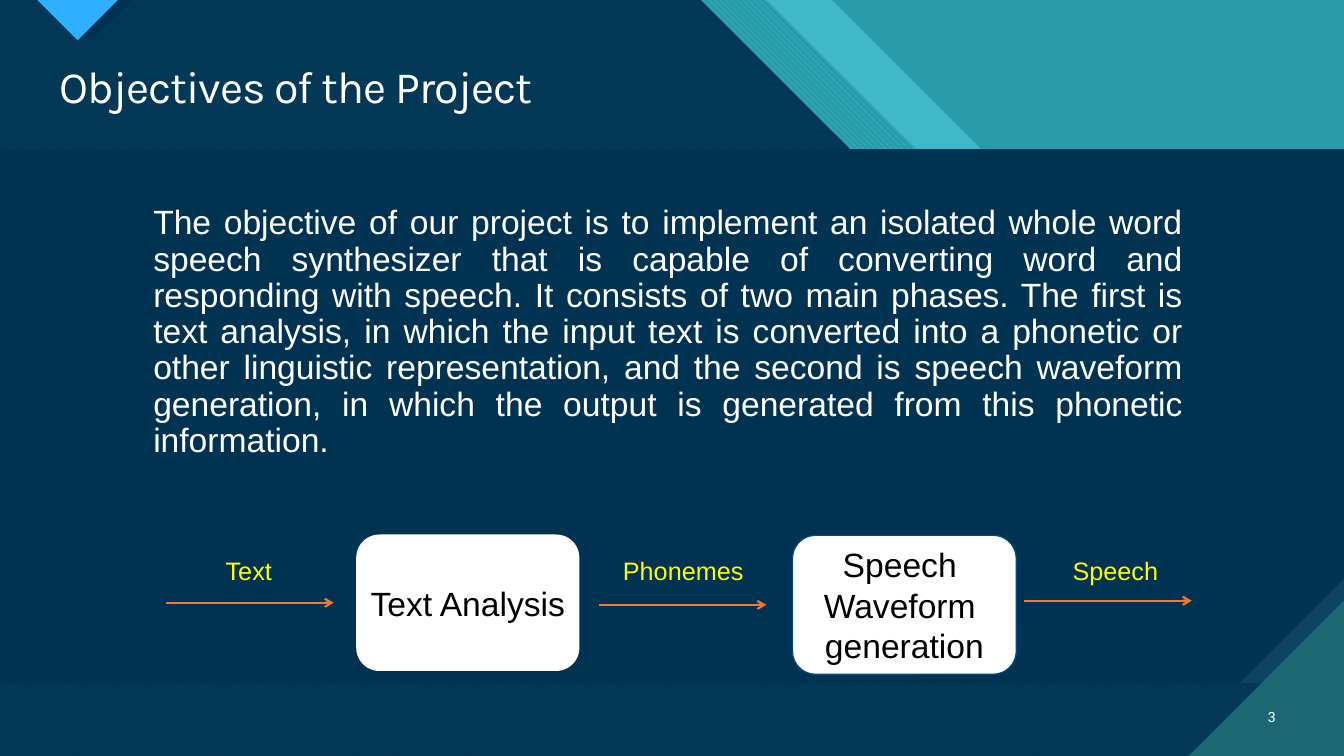
import pptx
import pptx.dml.color
import pptx.enum.dml
import pptx.enum.shapes
import pptx.enum.text
import pptx.oxml.ns
import pptx.oxml.xmlchemy
import pptx.util

Inches = pptx.util.Inches
RGBColor = pptx.dml.color.RGBColor
OxmlElement = pptx.oxml.xmlchemy.OxmlElement
ALIGN = pptx.enum.text.PP_ALIGN
ANCHOR = pptx.enum.text.MSO_ANCHOR
PATTERN = pptx.enum.dml.MSO_PATTERN

WHITE = RGBColor(0xFF, 0xFF, 0xFF)
BLACK = RGBColor(0x00, 0x00, 0x00)
YELLOW = RGBColor(0xFF, 0xFF, 0x00)
ORANGE = RGBColor(0xF4, 0x77, 0x35)
NAVY = RGBColor(0x00, 0x33, 0x52)
SLATE = RGBColor(0x0C, 0x43, 0x60)
BLUE = RGBColor(0x2F, 0xAF, 0xFF)
OUTLINE_BLUE = RGBColor(0x00, 0x4B, 0x79)
TEAL = RGBColor(0x29, 0x9C, 0xAB)
LIGHT_TEAL = RGBColor(0x47, 0xC3, 0xD3)
DARK_TEAL = RGBColor(0x1B, 0x68, 0x72)

WIDTH, HEIGHT = 13.33, 7.5


def write_text(shape, text, size, color, font="Arial", align=ALIGN.LEFT,
               anchor=ANCHOR.TOP, wrap=True, line_spacing=None, space_before=0):
    """Write one paragraph per line of text into the shape."""
    frame = shape.text_frame
    frame.text = text
    frame.word_wrap = wrap
    frame.vertical_anchor = anchor
    for paragraph in frame.paragraphs:
        paragraph.alignment = align
        paragraph.line_spacing = line_spacing
        paragraph.space_before = pptx.util.Pt(space_before)
        for run in paragraph.runs:
            run.font.name = font
            run.font.size = pptx.util.Pt(size)
            run.font.color.rgb = color


def place(shape, left, top, width, height):
    shape.left, shape.top = Inches(left), Inches(top)
    shape.width, shape.height = Inches(width), Inches(height)


presentation = pptx.Presentation()
presentation.slide_width = Inches(WIDTH)
presentation.slide_height = Inches(HEIGHT)
slide = presentation.slides.add_slide(presentation.slide_layouts[1])
slide.background.fill.solid()
slide.background.fill.fore_color.rgb = TEAL

# Background layers: outline, colour, pattern, pattern ground, opacity in percent
light_band = [(0, 0), (8.25, 0), (11.22, 2.97), (12.34, 2.97),
              (WIDTH, 3.96), (WIDTH, HEIGHT), (0, HEIGHT)]
hatched_band = [(0, 0), (7.6, 0), (10.58, 2.97), (11.84, 2.97),
                (WIDTH, 4.47), (WIDTH, HEIGHT), (0, HEIGHT)]
navy_field = [(0, 0), (6.95, 0), (9.92, 2.97), (11.18, 2.97),
              (WIDTH, 5.12), (WIDTH, HEIGHT), (0, HEIGHT)]
panel = [(0, 1.48), (WIDTH, 1.48), (WIDTH, 6.78), (0, 6.78)]
snipped_panel = [(0, 1.48), (WIDTH, 1.48), (WIDTH, 5.74), (12.29, 6.78), (0, 6.78)]
layers = [
    (light_band, LIGHT_TEAL, None, None, 74),
    (hatched_band, LIGHT_TEAL, PATTERN.WIDE_DOWNWARD_DIAGONAL, TEAL, 100),
    (navy_field, LIGHT_TEAL, PATTERN.WIDE_UPWARD_DIAGONAL, DARK_TEAL, 100),
    (navy_field, NAVY, None, None, 90),
    ([(0.48, 0), (1.31, 0), (0.9, 0.41)], NAVY, None, None, 100),
    ([(0.37, 0), (1.17, 0), (0.77, 0.4)], BLUE, None, None, 100),
    (panel, SLATE, None, None, 100),
    (snipped_panel, NAVY, None, None, 100),
    ([(11.79, HEIGHT), (WIDTH, HEIGHT), (WIDTH, 5.96)], DARK_TEAL, None, None, 100),
]
for points, color, pattern, ground, opacity in layers:
    corners = [(Inches(x), Inches(y)) for x, y in points]
    builder = slide.shapes.build_freeform(*corners[0])
    builder.add_line_segments(corners[1:], close=True)
    layer = builder.convert_to_shape()
    layer.shadow.inherit = False
    layer.line.fill.background()
    if pattern is None:
        layer.fill.solid()
    else:
        layer.fill.patterned()
        layer.fill.pattern = pattern
        layer.fill.back_color.rgb = ground
    layer.fill.fore_color.rgb = color
    if opacity < 100:
        color_element = layer.element.spPr.find(".//" + pptx.oxml.ns.qn("a:srgbClr"))
        alpha = OxmlElement("a:alpha")
        alpha.set("val", str(opacity * 1000))
        color_element.append(alpha)

# Title and objective, brought in front of the background
title, body = slide.shapes.title, slide.placeholders[1]
for placeholder in (title, body):
    placeholder.element.getparent().append(placeholder.element)
    placeholder.text_frame.auto_size = pptx.enum.text.MSO_AUTO_SIZE.NONE

place(title, 0.49, 0.59, 12.26, 0.74)
write_text(title, "Objectives of the Project", 32, WHITE, font="Karla", line_spacing=0.9)
title.text_frame.paragraphs[0].runs[0].font._element.set("spc", "-70")

place(body, 1.42, 1.74, 10.41, 3.12)
write_text(
    body,
    "The objective of our project is to implement an isolated whole word speech "
    "synthesizer that is capable of converting word and responding with speech. "
    "It consists of two main phases. The first is text analysis, in which the input "
    "text is converted into a phonetic or other linguistic representation, and the "
    "second is speech waveform generation, in which the output is generated from "
    "this phonetic information.",
    24, WHITE, align=ALIGN.JUSTIFY, anchor=ANCHOR.MIDDLE, line_spacing=0.9, space_before=10)
properties = body.text_frame.paragraphs[0]._p.get_or_add_pPr()
properties.set("marL", "0")
properties.set("indent", "0")
properties.append(OxmlElement("a:buNone"))

# Page number
page_number = slide.shapes.add_textbox(Inches(12.31), Inches(6.91), Inches(0.44), Inches(0.4))
write_text(page_number, "3", 10, WHITE, font="Roboto", align=ALIGN.RIGHT, anchor=ANCHOR.MIDDLE)

# Processing phases
phases = [
    ("Text Analysis", 3.54, 2.2, 1.34, WHITE),
    ("Speech \nWaveform \ngeneration", 7.86, 2.22, 1.38, OUTLINE_BLUE),
]
for text, left, width, height, outline in phases:
    phase = slide.shapes.add_shape(pptx.enum.shapes.MSO_SHAPE.ROUNDED_RECTANGLE,
                                   Inches(left), Inches(5.31), Inches(width), Inches(height))
    phase.shadow.inherit = False
    phase.fill.solid()
    phase.fill.fore_color.rgb = WHITE
    phase.line.color.rgb = outline
    phase.line.width = pptx.util.Pt(1)
    frame = phase.text_frame
    frame.margin_left = frame.margin_right = frame.margin_top = frame.margin_bottom = 0
    write_text(phase, text, 24, BLACK, align=ALIGN.CENTER, anchor=ANCHOR.MIDDLE)

# Flow arrows with their labels
flows = [
    ("Text", 2.14, 0.66, 1.65, 5.98),
    ("Phonemes", 6.08, 1.41, 5.94, 6),
    ("Speech", 10.54, 1.05, 10.16, 5.96),
]
for text, label_left, label_width, arrow_left, arrow_top in flows:
    arrow = slide.shapes.add_connector(
        pptx.enum.shapes.MSO_CONNECTOR.STRAIGHT, Inches(arrow_left), Inches(arrow_top),
        Inches(arrow_left + 1.66), Inches(arrow_top))
    arrow.line.color.rgb = ORANGE
    arrow.line.width = pptx.util.Pt(1.5)
    head = OxmlElement("a:tailEnd")
    head.set("type", "arrow")
    arrow.line._get_or_add_ln().append(head)
    arrow.element.spPr.append(OxmlElement("a:effectLst"))
    label = slide.shapes.add_textbox(Inches(label_left), Inches(5.46),
                                     Inches(label_width), Inches(0.4))
    write_text(label, text, 18, YELLOW, wrap=False)

presentation.save("out.pptx")
